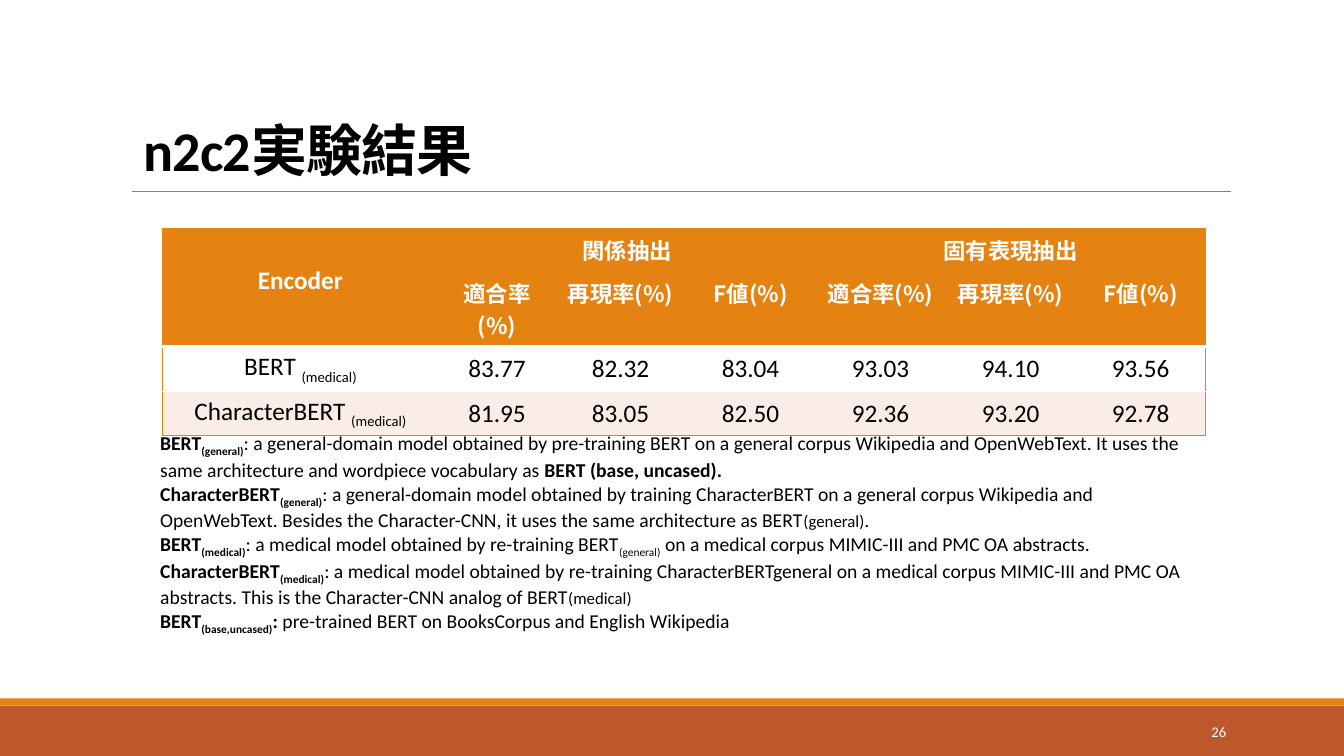
"""Build the n2c2 experiment results slide with its table and model notes."""
from lxml.etree import SubElement
from pptx import Presentation
from pptx.dml.color import RGBColor
from pptx.enum.shapes import MSO_CONNECTOR, MSO_SHAPE
from pptx.enum.text import MSO_ANCHOR, MSO_AUTO_SIZE, PP_ALIGN
from pptx.oxml.ns import qn
from pptx.util import Inches, Pt

COLORS = {
    "orange": "E48312",
    "rust": "BD582C",
    "rule": "808080",
    "tint": "FAEDE7",
    "white": "FFFFFF",
    "black": "000000",
}
LATIN = "Calibri"
JAPANESE = "Noto Sans CJK JP"


def add_run(paragraph, text, size=14, color="black", bold=False, font=LATIN, subscript=False):
    run = paragraph.add_run()
    run.text = text
    run.font.size = Pt(size)
    run.font.bold = bold
    run.font.color.rgb = RGBColor.from_string(COLORS[color])
    run.font.name = font
    properties = run.font._element
    SubElement(properties, qn("a:ea")).set("typeface", JAPANESE)
    if subscript:
        properties.set("baseline", "-25000")
    return run


def set_borders(cell, **lines):
    properties = cell._tc.get_or_add_tcPr()
    for side in "LRTB":
        border = SubElement(properties, qn(f"a:ln{side}"))
        if side in lines:
            color, width = lines[side]
            border.set("w", str(Pt(width)))
            fill = SubElement(border, qn("a:solidFill"))
            SubElement(fill, qn("a:srgbClr")).set("val", COLORS[color])
        else:
            SubElement(border, qn("a:noFill"))


presentation = Presentation()
presentation.slide_width = Inches(13.33)
presentation.slide_height = Inches(7.5)
slide = presentation.slides.add_slide(presentation.slide_layouts[5])

for top, height, color in [(7, 0.5, "rust"), (6.93, 0.07, "orange")]:
    band = slide.shapes.add_shape(
        MSO_SHAPE.RECTANGLE, 0, Inches(top), Inches(13.33), Inches(height)
    )
    band.shadow.inherit = False
    band.fill.solid()
    band.fill.fore_color.rgb = RGBColor.from_string(COLORS[color])
    band.line.fill.background()

title_rule = slide.shapes.add_connector(
    MSO_CONNECTOR.STRAIGHT, Inches(1.31), Inches(1.9), Inches(12.21), Inches(1.9)
)
title_rule.line.color.rgb = RGBColor.from_string(COLORS["rule"])
title_rule.line.width = Pt(0.5)
SubElement(title_rule._element.spPr, qn("a:effectLst"))

title = slide.shapes.title
title.left, title.top = Inches(1.32), Inches(0.82)
title.width, title.height = Inches(10.93), Inches(1.04)
title.text_frame.auto_size = MSO_AUTO_SIZE.NONE
title.text_frame.vertical_anchor = MSO_ANCHOR.BOTTOM
paragraph = title.text_frame.paragraphs[0]
paragraph.alignment = PP_ALIGN.LEFT
paragraph.line_spacing = 0.85
for text, font in [("n2c2", LATIN), ("実験結果", JAPANESE)]:
    run = add_run(paragraph, text, size=40, bold=True, font=font)
    run.font._element.set("spc", "-50")

page_number = slide.shapes.add_textbox(Inches(10.83), Inches(7.06), Inches(1.43), Inches(0.4))
page_number.text_frame.word_wrap = True
page_number.text_frame.vertical_anchor = MSO_ANCHOR.MIDDLE
paragraph = page_number.text_frame.paragraphs[0]
paragraph.alignment = PP_ALIGN.RIGHT
add_run(paragraph, "26", size=10.5, color="white")

measures = ["適合率(%)", "再現率(%)", "F値(%)"]
rows = [
    ["Encoder", "関係抽出", "", "", "固有表現抽出", "", ""],
    ["", *measures, *measures],
    ["BERT ", "83.77", "82.32", "83.04", "93.03", "94.10", "93.56"],
    ["CharacterBERT ", "81.95", "83.05", "82.50", "92.36", "93.20", "92.78"],
]
row_fills = ["orange", "orange", "white", "tint"]
row_heights = [0.42, 0.75, 0.44, 0.44]
column_widths = [2.74, 1.16] + [1.29] * 5
outline = ("orange", 1)
header_line = ("white", 2.25)
row_line = ("white", 1)
row_borders = [
    {"T": outline},
    {"B": header_line},
    {"T": header_line, "B": row_line},
    {"T": row_line, "B": outline},
]

table = slide.shapes.add_table(
    4, 7, Inches(1.61), Inches(2.27), Inches(sum(column_widths)), Inches(sum(row_heights))
).table
table.horz_banding = False
for column, width in zip(table.columns, column_widths):
    column.width = Inches(width)
for row, height in zip(table.rows, row_heights):
    row.height = Inches(height)

for row_index, row in enumerate(rows):
    is_header = row_index < 2
    for column_index, text in enumerate(row):
        cell = table.cell(row_index, column_index)
        borders = dict(row_borders[row_index])
        if column_index == 0:
            borders["L"] = outline
        if column_index == len(row) - 1:
            borders["R"] = outline
        set_borders(cell, **borders)
        cell.fill.solid()
        cell.fill.fore_color.rgb = RGBColor.from_string(COLORS[row_fills[row_index]])
        is_top = row_index == 1 or (column_index == 0 and not is_header)
        cell.vertical_anchor = MSO_ANCHOR.TOP if is_top else MSO_ANCHOR.MIDDLE
        if not text:
            continue
        paragraph = cell.text_frame.paragraphs[0]
        paragraph.alignment = PP_ALIGN.CENTER
        is_japanese = is_header and column_index > 0
        add_run(
            paragraph,
            text,
            size=16 if is_japanese else 18,
            color="white" if is_header else "black",
            bold=is_header,
            font=JAPANESE if is_japanese else LATIN,
        )
        if column_index == 0 and not is_header:
            add_run(paragraph, "(medical)", size=18, subscript=True)

encoder_cell = table.cell(0, 0)
encoder_cell.merge(table.cell(1, 0))
encoder_cell.margin_bottom = Inches(0.19)
for first_column in (1, 4):
    table.cell(0, first_column).merge(table.cell(0, first_column + 2))

plain = {}
strong = {"bold": True}
strong_low = {"bold": True, "subscript": True}
low = {"subscript": True}
small = {"size": 12}
notes = [
    [
        ("BERT", strong),
        ("(general)", strong_low),
        (": a general-domain model obtained by pre-training BERT on a general corpus Wikipedia "
         "and OpenWebText. It uses the same architecture and wordpiece vocabulary as ", plain),
        ("BERT (base, uncased).", strong),
    ],
    [
        ("CharacterBERT", strong),
        ("(general)", strong_low),
        (": a general-domain model obtained by training CharacterBERT on a general corpus "
         "Wikipedia and OpenWebText. Besides the Character-CNN, it uses the same architecture "
         "as BERT", plain),
        ("(general)", small),
        (".", plain),
    ],
    [
        ("BERT", strong),
        ("(medical)", strong_low),
        (": a medical model obtained by re-training BERT", plain),
        ("(general)", low),
        (" on a medical corpus MIMIC-III and PMC OA abstracts.", plain),
    ],
    [
        ("CharacterBERT", strong),
        ("(medical)", strong_low),
        (": a medical model obtained by re-training CharacterBERTgeneral on a medical corpus "
         "MIMIC-III and PMC OA abstracts. This is the Character-CNN analog of BERT", plain),
        ("(medical)", small),
    ],
    [
        ("BERT", strong),
        ("(base,uncased)", strong_low),
        (": ", strong),
        ("pre-trained BERT on BooksCorpus and English Wikipedia", plain),
    ],
]
notes_box = slide.shapes.add_textbox(Inches(1.49), Inches(4.23), Inches(10.35), Inches(3.15))
notes_box.text_frame.word_wrap = True
for index, note in enumerate(notes):
    frame = notes_box.text_frame
    paragraph = frame.add_paragraph() if index else frame.paragraphs[0]
    for text, style in note:
        add_run(paragraph, text, **style)

presentation.save("out.pptx")
